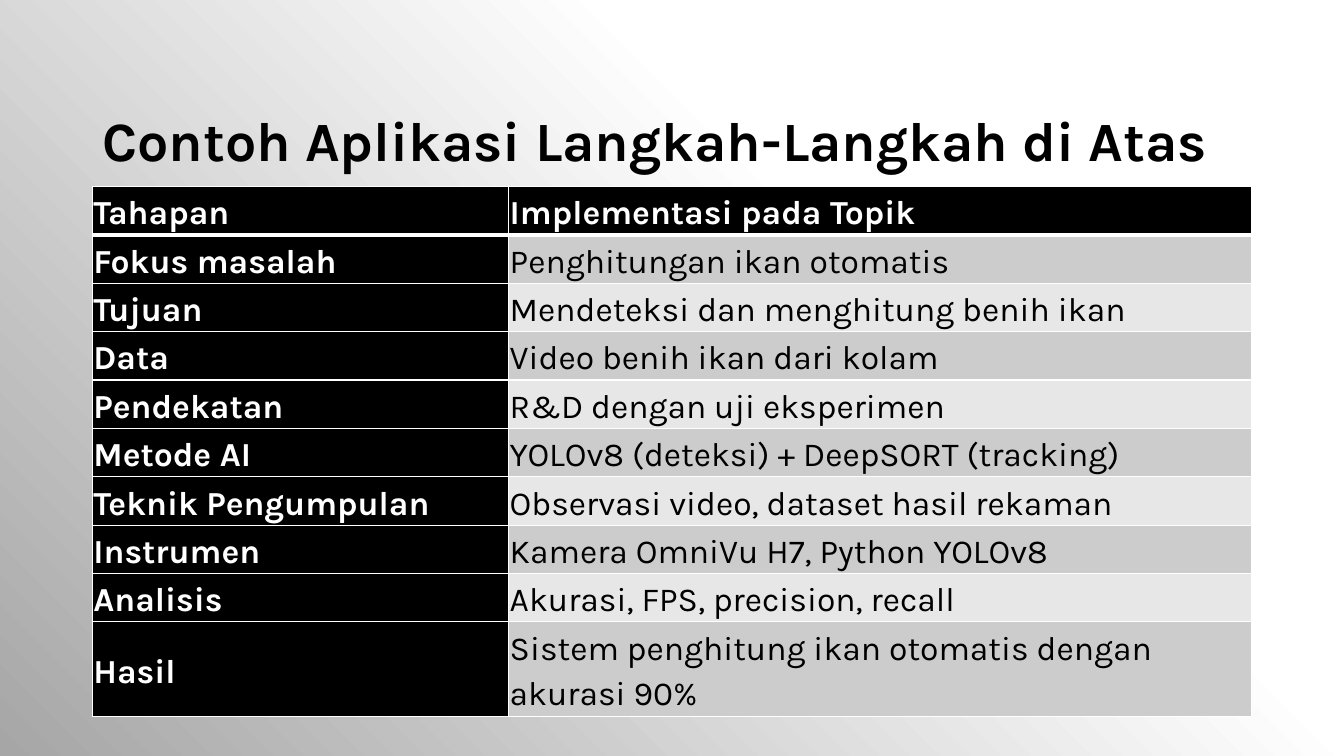
from lxml import etree
from pptx import Presentation
from pptx.dml.color import RGBColor
from pptx.enum.text import MSO_ANCHOR
from pptx.oxml import parse_xml
from pptx.oxml.ns import nsdecls
from pptx.util import Pt

MIDDLE = MSO_ANCHOR.MIDDLE
TOP = MSO_ANCHOR.TOP

BLACK = RGBColor(0x00, 0x00, 0x00)
WHITE = RGBColor(0xFF, 0xFF, 0xFF)
GREY = RGBColor(0xA6, 0xA6, 0xA6)
BAND_DARK = RGBColor(0xCC, 0xCC, 0xCC)
BAND_LIGHT = RGBColor(0xE7, 0xE7, 0xE7)
FONT = "Karla"

TITLE = "Contoh Aplikasi Langkah-Langkah di Atas"
STAGES = [
    ("Tahapan", "Implementasi pada Topik"),
    ("Fokus masalah", "Penghitungan ikan otomatis"),
    ("Tujuan", "Mendeteksi dan menghitung benih ikan"),
    ("Data", "Video benih ikan dari kolam"),
    ("Pendekatan", "R&D dengan uji eksperimen"),
    ("Metode AI", "YOLOv8 (deteksi) + DeepSORT (tracking)"),
    ("Teknik Pengumpulan", "Observasi video, dataset hasil rekaman"),
    ("Instrumen", "Kamera OmniVu H7, Python YOLOv8"),
    ("Analisis", "Akurasi, FPS, precision, recall"),
    ("Hasil", "Sistem penghitung ikan otomatis dengan akurasi 90%"),
]
STAGE_WIDTH = 297.4
ROW_HEIGHT = 33.6
LAST_ROW_HEIGHT = 65.8


def add_run(p, text, size, color, bold):
    r = p.add_run()
    r.text = text
    r.font.name = FONT
    r.font.size = Pt(size)
    r.font.bold = bold
    r.font.color.rgb = color


def set_background(s):
    """Radial gradient spreading from the top right corner."""
    stops = "".join(
        f'<a:gs pos="{pos * 1000}"><a:srgbClr val="{color}"/></a:gs>'
        for pos, color in ((0, WHITE), (35, WHITE), (100, GREY)))
    bg = parse_xml(
        f'<p:bg {nsdecls("p", "a")}><p:bgPr><a:gradFill rotWithShape="1">'
        f'<a:gsLst>{stops}</a:gsLst><a:path path="circle">'
        '<a:fillToRect l="100000" b="100000"/></a:path></a:gradFill>'
        '<a:effectLst/></p:bgPr></p:bg>')
    s.element.cSld.insert(0, bg)


def add_title(s, left, top, width, height):
    sp = s.shapes.add_textbox(Pt(left), Pt(top), Pt(width), Pt(height))
    tf = sp.text_frame
    tf.word_wrap = True
    tf.vertical_anchor = TOP
    tf.margin_top = tf.margin_bottom = 0
    p = tf.paragraphs[0]
    p.line_spacing = 0.9
    add_run(p, TITLE, 39.6, BLACK, True)


def set_borders(cell, top, bottom):
    """White borders; top and bottom widths are in points."""
    tc_pr = cell._tc.get_or_add_tcPr()
    sides = (("L", 1), ("R", 1), ("T", top), ("B", bottom))
    for i, (side, width) in enumerate(sides):
        ln = parse_xml(
            f'<a:ln{side} {nsdecls("a")} w="{Pt(width)}"><a:solidFill/></a:ln{side}>')
        etree.SubElement(ln[0], ln[0].tag.replace("solidFill", "srgbClr"),
                         val=str(WHITE))
        tc_pr.insert(i, ln)


def fill_cell(cell, text, fill, color, bold):
    cell.fill.solid()
    cell.fill.fore_color.rgb = fill
    cell.vertical_anchor = MIDDLE
    cell.margin_left = cell.margin_right = Pt(0.72)
    cell.margin_top = cell.margin_bottom = Pt(0.72)
    p = cell.text_frame.paragraphs[0]
    p.line_spacing = 1.15
    p.space_after = Pt(8)
    add_run(p, text, 24, color, bold)


def add_stage_table(s, left, top, width):
    last = len(STAGES) - 1
    height = last * ROW_HEIGHT + LAST_ROW_HEIGHT
    table = s.shapes.add_table(len(STAGES), 2, Pt(left), Pt(top),
                               Pt(width), Pt(height)).table
    table.columns[0].width = Pt(STAGE_WIDTH)
    table.columns[1].width = Pt(width - STAGE_WIDTH)
    for i, row in enumerate(STAGES):
        table.rows[i].height = Pt(LAST_ROW_HEIGHT if i == last else ROW_HEIGHT)
        for j, text in enumerate(row):
            cell = table.cell(i, j)
            if i == 0 or j == 0:
                fill_cell(cell, text, BLACK, WHITE, True)
            else:
                band = BAND_DARK if i % 2 else BAND_LIGHT
                fill_cell(cell, text, band, BLACK, False)
            set_borders(cell, top=3 if i == 1 else 1, bottom=3 if i == 0 else 1)


def main():
    prs = Presentation()
    prs.slide_width, prs.slide_height = Pt(960), Pt(540)
    s = prs.slides.add_slide(prs.slide_layouts[6])
    set_background(s)
    add_title(s, 66, 81, 828, 42)
    add_stage_table(s, 66, 133.2, 828)
    prs.save("out.pptx")


if __name__ == "__main__":
    main()
